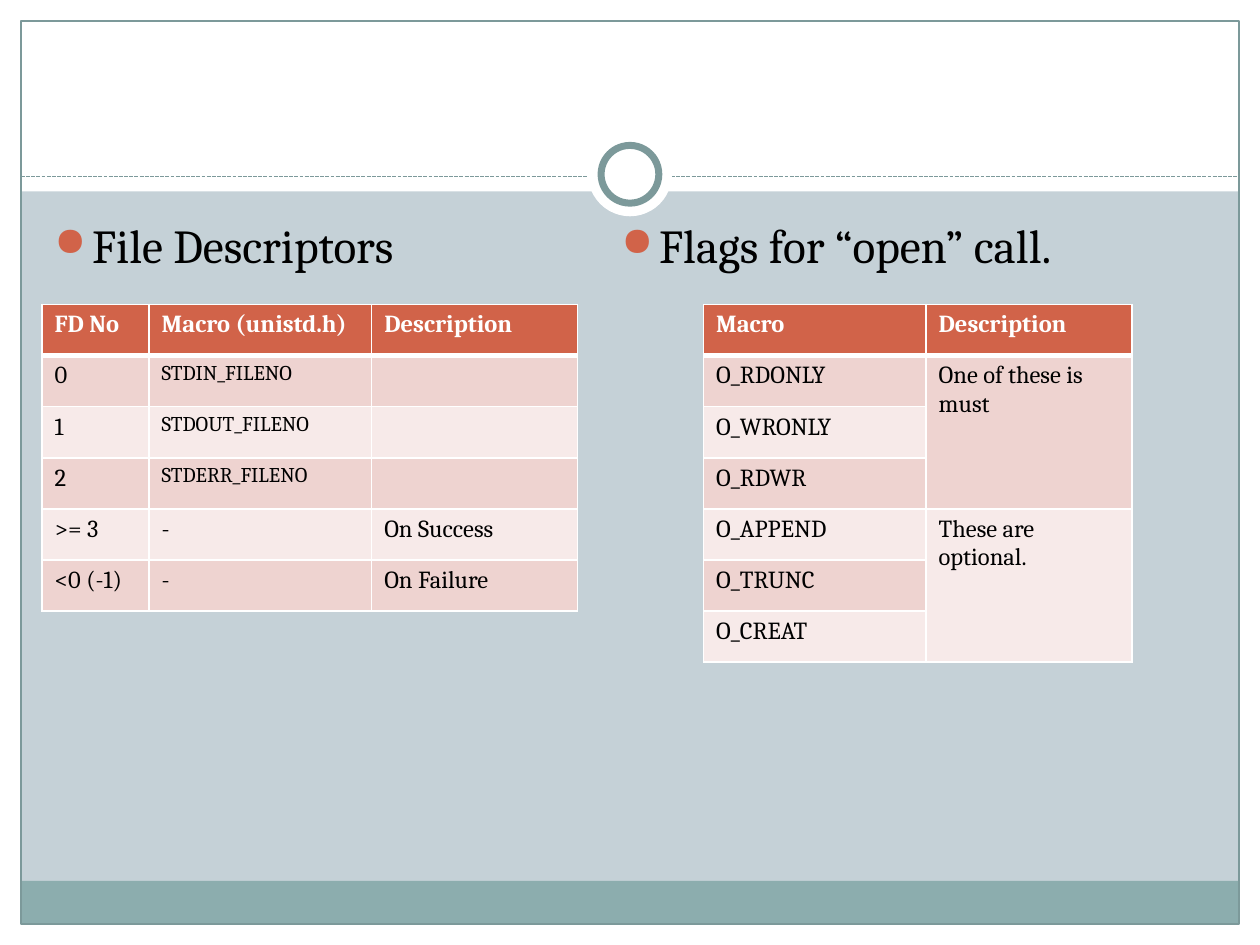
from lxml.etree import SubElement
from pptx import Presentation
from pptx.dml.color import RGBColor
from pptx.enum.dml import MSO_LINE_DASH_STYLE as Dash
from pptx.enum.shapes import MSO_CONNECTOR as Link, MSO_SHAPE as Shape
from pptx.oxml.ns import qn
from pptx.util import Inches, Pt

WHITE = RGBColor(0xFF, 0xFF, 0xFF)
BLACK = RGBColor(0, 0, 0)
MIST = RGBColor(0xC5, 0xD1, 0xD7)
TEAL = RGBColor(0x8C, 0xAD, 0xAE)
SLATE = RGBColor(0x7C, 0x99, 0x9A)
RUST = RGBColor(0xD1, 0x63, 0x49)
BANDS = RGBColor(0xEE, 0xD3, 0xD0), RGBColor(0xF7, 0xEA, 0xE9)
FONT = "Cambria"

# The slide is a grid of 120 columns by 90 rows, twelve to the inch.
COLS, ROWS, EDGE = 120, 90, 2
ROW = 4.87
FD, MACRO, NOTE = 10.2, 21.2, 19.6

FILES = [
    ["FD No", "Macro (unistd.h)", "Description"],
    ["0", "STDIN_FILENO", ""],
    ["1", "STDOUT_FILENO", ""],
    ["2", "STDERR_FILENO", ""],
    [">= 3", "-", "On Success"],
    ["<0 (-1)", "-", "On Failure"],
]
FLAGS = [
    ["Macro", "Description"],
    ["O_RDONLY", "One of these is must"],
    ["O_WRONLY", ""],
    ["O_RDWR", ""],
    ["O_APPEND", "These are optional."],
    ["O_TRUNC", ""],
    ["O_CREAT", ""],
]


def grid(*units):
    return [Inches(unit / 12) for unit in units]


def add_form(slide, kind, box, fill=None, line=None, width=0.75):
    form = slide.shapes.add_shape(kind, *grid(*box))
    form.shadow.inherit = False
    if fill is None:
        form.fill.background()
    else:
        form.fill.solid()
        form.fill.fore_color.rgb = fill
    if line is None:
        form.line.fill.background()
    else:
        form.line.color.rgb = line
        form.line.width = Pt(width)


def add_disc(slide, x, y, size, line=None):
    """Draw a white disc centred on x, y."""
    box = x - size / 2, y - size / 2, size, size
    add_form(slide, Shape.OVAL, box, WHITE, line, 4)


def draw_frame(slide, box):
    """Draw the white margins, foot band, outline, dashed rule and ring."""
    x, y, w, h = box
    right, foot = x + w, y + h
    for margin in [
        (0, foot, COLS, EDGE),
        (0, 0, COLS, 18.24),
        (0, 0, EDGE, ROWS),
        (right, 0, EDGE, ROWS),
    ]:
        add_form(slide, Shape.RECTANGLE, margin, WHITE)
    add_form(slide, Shape.RECTANGLE, (x, foot - 4.1, w, 4.1), TEAL)
    add_form(slide, Shape.RECTANGLE, box, line=SLATE)

    rule = slide.shapes.add_connector(Link.STRAIGHT, *grid(x, 16.8, right, 16.8))
    rule.line.color.rgb = SLATE
    rule.line.width = Pt(0.75)
    rule.line.dash_style = Dash.SQUARE_DOT
    SubElement(rule._element.spPr, qn("a:effectLst"))

    add_disc(slide, x + w / 2, 16.6, 8)
    add_disc(slide, x + w / 2, 16.6, 5.5, SLATE)


def style_run(run, size, color, bold=False):
    font = run.font
    font.name, font.size, font.bold = FONT, Pt(size), bold
    font.color.rgb = color


def add_bullet(para):
    props = para._p.get_or_add_pPr()
    props.set("marL", str(Inches(0.3)))
    props.set("indent", str(-Inches(0.3)))
    space = SubElement(props, qn("a:spcBef"))
    SubElement(space, qn("a:spcPct"), val="20000")
    color = SubElement(props, qn("a:buClr"))
    SubElement(color, qn("a:srgbClr"), val=str(RUST))
    SubElement(props, qn("a:buSzPct"), val="85000")
    SubElement(props, qn("a:buChar"), char="●")


def add_head(slide, box, text):
    frame = slide.shapes.add_textbox(*grid(*box)).text_frame
    frame.word_wrap = True
    frame.text = text
    para = frame.paragraphs[0]
    add_bullet(para)
    style_run(para.runs[0], 27, BLACK)


def add_border(cell, side, width):
    props = cell._tc.get_or_add_tcPr()
    line = SubElement(props, qn(f"a:ln{side}"), w=str(Pt(width)))
    fill = SubElement(line, qn("a:solidFill"))
    SubElement(fill, qn("a:srgbClr"), val=str(WHITE))


def style_cell(cell, row, text):
    heavy = {0: "B", 1: "T"}.get(row)
    for side in "LRTB":
        add_border(cell, side, 3 if side == heavy else 1)
    cell.fill.solid()
    cell.fill.fore_color.rgb = BANDS[(row - 1) % 2] if row else RUST
    cell.text = text
    para = cell.text_frame.paragraphs[0]
    for run in para.runs:
        size = 12 if text.startswith("STD") else 14
        style_run(run, size, BLACK if row else WHITE, row == 0)
    if not text:
        SubElement(para._p, qn("a:endParaRPr"), sz="1400")


def add_grid(slide, x, y, widths, data, spans=()):
    """Place a table; spans lists the first and last row of each merged note."""
    box = grid(x, y, sum(widths), ROW * len(data))
    table = slide.shapes.add_table(len(data), len(widths), *box).table
    for column, width in zip(table.columns, grid(*widths)):
        column.width = width
    for r, texts in enumerate(data):
        table.rows[r].height = grid(ROW)[0]
        for c, text in enumerate(texts):
            style_cell(table.cell(r, c), r, text)
    last = len(widths) - 1
    for top, end in spans:
        table.cell(top, last).merge(table.cell(end, last))


def main():
    deck = Presentation()
    deck.slide_width, deck.slide_height = grid(COLS, ROWS)
    slide = deck.slides.add_slide(deck.slide_layouts[6])
    back = slide.background.fill
    back.solid()
    back.fore_color.rgb = MIST

    draw_frame(slide, (EDGE, EDGE, COLS - 2 * EDGE, ROWS - 2 * EDGE))
    add_head(slide, (4, 20, 62, 60), "File Descriptors")
    add_grid(slide, 4, 29, [FD, MACRO, NOTE], FILES)
    add_head(slide, (58, 20, 62, 60), "Flags for “open” call.")
    add_grid(slide, 67, 29, [MACRO, NOTE], FLAGS, [(1, 3), (4, 6)])
    deck.save("out.pptx")


if __name__ == "__main__":
    main()
